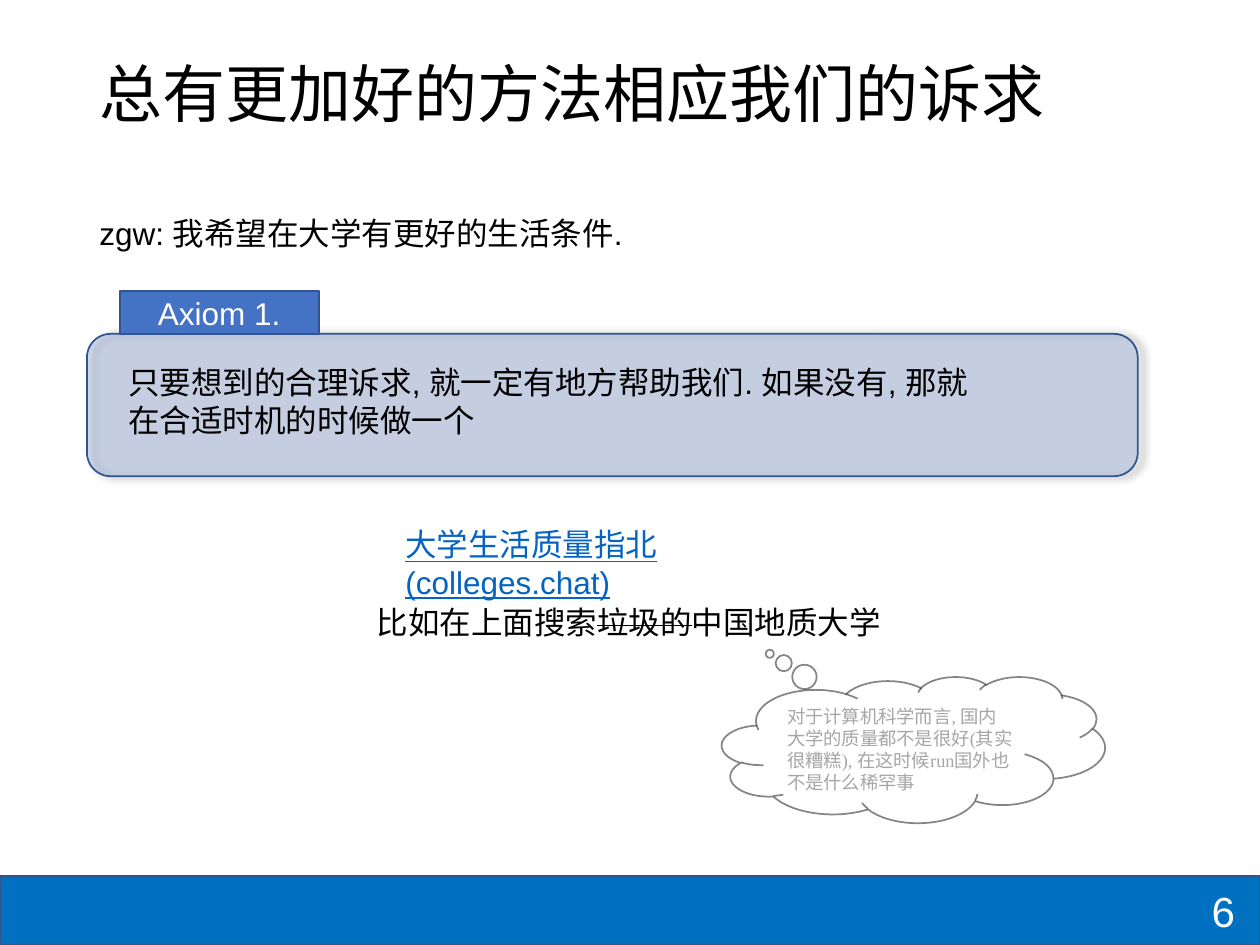
import pptx
import pptx.util
import pptx.dml.color
import pptx.enum.shapes
import pptx.enum.text
import pptx.oxml
import pptx.oxml.ns

RGB = pptx.dml.color.RGBColor
BLACK = RGB(0, 0, 0)
WHITE = RGB(0xFF, 0xFF, 0xFF)
GRAY = RGB(0xA6, 0xA6, 0xA6)
BAR_BLUE = RGB(0x00, 0x70, 0xC0)
AXIOM_BLUE = RGB(0x44, 0x72, 0xC4)
EDGE_BLUE = RGB(0x32, 0x54, 0x91)
LINK_BLUE = RGB(0x05, 0x63, 0xC1)

SHAPE = pptx.enum.shapes.MSO_SHAPE
ALIGN = pptx.enum.text.PP_ALIGN
ANCHOR = pptx.enum.text.MSO_ANCHOR
NS = pptx.oxml.ns.nsdecls("a")
qn = pptx.oxml.ns.qn

prs = pptx.Presentation()
prs.slide_width, prs.slide_height = pptx.util.Inches(10), pptx.util.Inches(7.5)
s = prs.slides.add_slide(prs.slide_layouts[6])
COL = prs.slide_width / 100
ROW = prs.slide_height / 75


def add(col, row, cols, rows, kind=None, fill=None, line=EDGE_BLUE):
    """Add a shape, or a text box when kind is None, placed in grid units."""
    at = [int(v) for v in (col * COL, row * ROW, cols * COL, rows * ROW)]
    if kind is None:
        return s.shapes.add_textbox(*at)
    sp = s.shapes.add_shape(kind, *at)
    sp.shadow.inherit = False
    if fill is None:
        sp.fill.background()
    else:
        sp.fill.solid()
        sp.fill.fore_color.rgb = fill
    sp.line.color.rgb = line
    sp.line.width = pptx.util.Pt(1)
    return sp


def write(sp, text, size=18, color=BLACK, font="Arial", align=ALIGN.LEFT,
          anchor=ANCHOR.TOP, wrap=True, underline=None, spacing=None, strike=None):
    """Fill the shape with one paragraph; the words in strike are struck through."""
    tf = sp.text_frame
    tf.word_wrap = wrap
    tf.vertical_anchor = anchor
    p = tf.paragraphs[0]
    p.alignment = align
    p.line_spacing = spacing
    before, struck, after = text.partition(strike) if strike else (text, "", "")
    for part in filter(None, (before, struck, after)):
        r = p.add_run()
        r.text = part
        r.font.size = pptx.util.Pt(size)
        r.font.name = font
        r.font.color.rgb = color
        r.font.underline = underline
        if part == struck:
            r.font._element.set("strike", "sngStrike")


# Footer bar and page number
add(0, 69.5, 100, 5.5, SHAPE.RECTANGLE, BAR_BLUE)
write(add(76.5, 70.3, 22.5, 4), "6", size=24, color=WHITE,
      align=ALIGN.RIGHT, anchor=ANCHOR.MIDDLE)

# Title and opening wish
write(add(6.9, 4, 86.2, 7.4), "总有更加好的方法相应我们的诉求", size=36,
      anchor=ANCHOR.MIDDLE, spacing=0.9)
write(add(6.9, 16.5, 44, 4), "zgw: 我希望在大学有更好的生活条件.", wrap=False)

# Axiom: translucent panel with a soft shadow, tab and statement
panel = add(6.9, 26.5, 83.4, 11.3, SHAPE.ROUNDED_RECTANGLE, AXIOM_BLUE)
panel_pr = panel._element.spPr
panel_pr.find(qn("a:solidFill"))[0].append(
    pptx.oxml.parse_xml(f'<a:alpha {NS} val="22000"/>'))
panel_pr.find(qn("a:effectLst")).append(pptx.oxml.parse_xml(
    f'<a:outerShdw {NS} blurRad="50800" dist="38100" dir="0" algn="l" rotWithShape="0">'
    '<a:srgbClr val="000000"><a:alpha val="40000"/></a:srgbClr></a:outerShdw>'))
write(add(9.5, 23.1, 15.8, 3.4, SHAPE.RECTANGLE, AXIOM_BLUE), "Axiom 1.",
      color=WHITE, align=ALIGN.CENTER, anchor=ANCHOR.MIDDLE)
write(add(9.2, 28.3, 69.7, 7.1),
      "只要想到的合理诉求, 就一定有地方帮助我们. 如果没有, 那就在合适时机的时候做一个")

# Example site and search
write(add(31.2, 41.2, 35, 4), "大学生活质量指北 (colleges.chat)",
      color=LINK_BLUE, underline=True)
write(add(28.9, 47.4, 42.4, 4), "比如在上面搜索垃圾的中国地质大学",
      wrap=False, strike="垃圾的")

# Thought cloud
cloud = add(57.3, 53.7, 30.4, 11.6, SHAPE.CLOUD_CALLOUT, line=BLACK)
cloud.adjustments[0], cloud.adjustments[1] = -0.375, -0.656
cloud.line._ln.find(qn("a:solidFill"))[0].append(
    pptx.oxml.parse_xml(f'<a:alpha {NS} val="47000"/>'))
write(cloud, "对于计算机科学而言, 国内大学的质量都不是很好(其实很糟糕), "
      "在这时候run国外也不是什么稀罕事", size=10.5, color=GRAY, font="Times New Roman")

prs.save("out.pptx")
